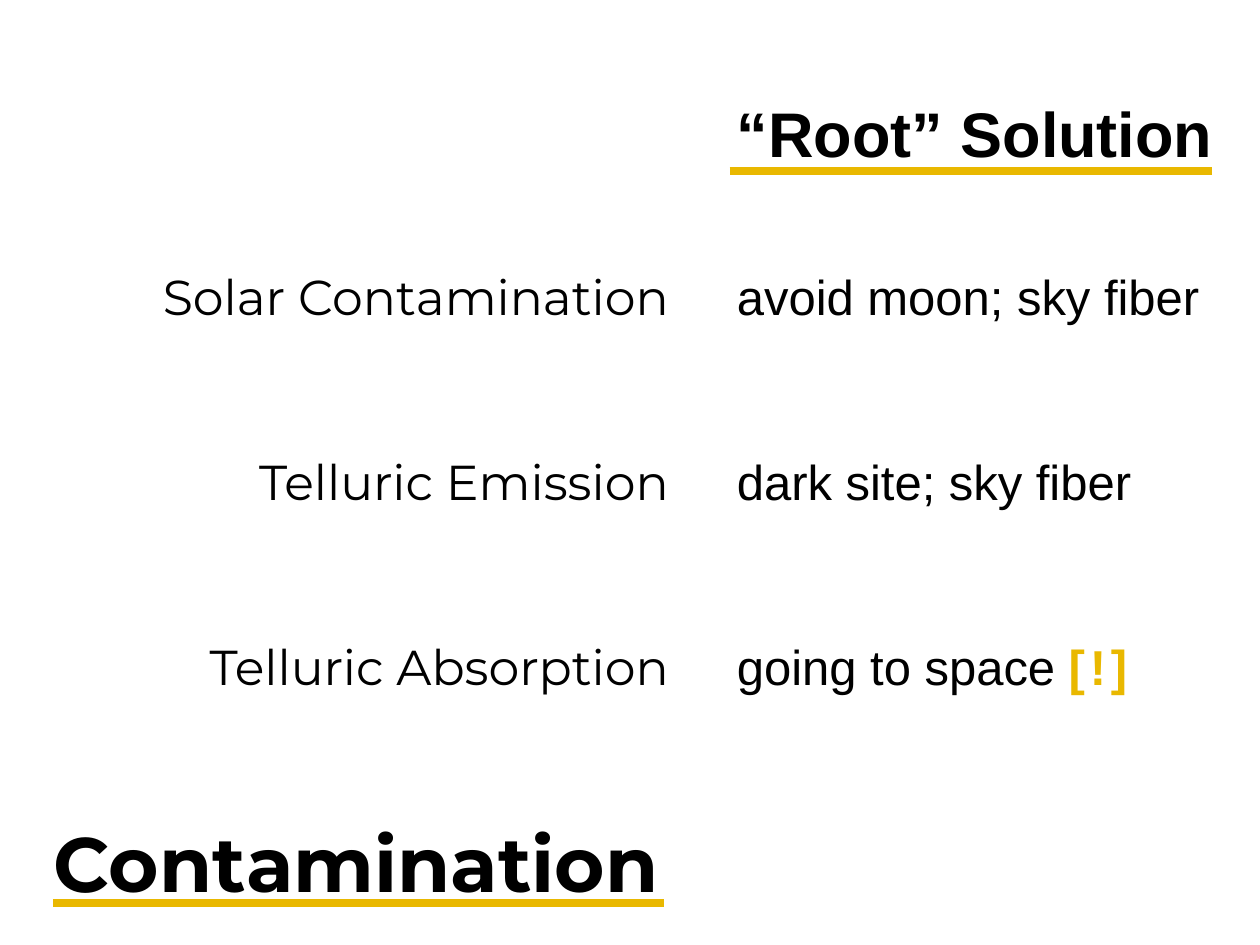
import pptx
import pptx.util
from dataclasses import dataclass
from pptx.dml.color import RGBColor
from pptx.enum.shapes import MSO_CONNECTOR
from pptx.enum.text import MSO_AUTO_SIZE, PP_ALIGN
from pptx.slide import Slide
from pptx.text.text import _Paragraph as Para


@dataclass(frozen=True)
class Theme:
    ink: RGBColor = RGBColor(0, 0, 0)
    gold: RGBColor = RGBColor(0xE9, 0xB8, 0x00)
    sans: str = "Arial"
    brand: str = "Montserrat"
    title: float = 44
    head: float = 36
    body: float = 28
    gap: float = 10
    rule: float = 4.5


@dataclass(frozen=True)
class Box:
    """Place and size in grid columns and rows."""
    col: float
    row: float
    wide: float
    high: float


@dataclass(frozen=True)
class Issue:
    name: str
    wide: float
    cure: str
    alert: str = ""


LOOK = Theme()
COLS, ROWS = 100, 75
WIDTH, HEIGHT = pptx.util.Inches(10), pptx.util.Inches(7.5)
EDGE = 54.05        # right edge of the issue names
CURE = 57.5         # left edge of the solutions
SPAN = 44.4         # width of the solutions
TOP, STEP, LINE = 20.65, 14.7, 5.7

ISSUES = (
    Issue("Solar Contamination", 45.9, "avoid moon; sky fiber"),
    Issue("Telluric Emission", 39.9, "dark site; sky fiber"),
    Issue("Telluric Absorption", 42.3, "going to space ", "[!]"),
)


def across(cols: float) -> int:
    return round(WIDTH * cols / COLS)


def down(rows: float) -> int:
    return round(HEIGHT * rows / ROWS)


def write(slide: Slide, box: Box, text: str, size: float, face: str,
          bold: bool = False, align: PP_ALIGN = PP_ALIGN.LEFT) -> Para:
    shape = slide.shapes.add_textbox(
        across(box.col), down(box.row), across(box.wide), down(box.high))
    frame = shape.text_frame
    frame.word_wrap = True
    frame.auto_size = MSO_AUTO_SIZE.SHAPE_TO_FIT_TEXT
    para = frame.paragraphs[0]
    para.alignment = align
    para.add_run().text = text
    font = para.font
    font.name, font.bold = face, bold
    font.size = pptx.util.Pt(size)
    font.color.rgb = LOOK.ink
    return para


def flag(para: Para, marks: str) -> None:
    """Add gold marks set apart by small spaces."""
    for mark in " ".join(marks):
        run = para.add_run()
        run.text = mark
        run.font.bold = True
        run.font.color.rgb = LOOK.gold
        run.font.size = pptx.util.Pt(LOOK.gap if mark == " " else LOOK.body)


def rule(slide: Slide, start: float, end: float, row: float) -> None:
    line = slide.shapes.add_connector(
        MSO_CONNECTOR.STRAIGHT, across(start), down(row), across(end), down(row))
    line.line.color.rgb = LOOK.gold
    line.line.width = pptx.util.Pt(LOOK.rule)
    line._element.spPr.add_effect = None
    pptx.oxml.ns  # namespace helper used below
    line._element.spPr.append(pptx.oxml.parse_xml(
        f"<a:effectLst {pptx.oxml.ns.nsdecls('a')}/>"))


def main() -> None:
    deck = pptx.Presentation()
    deck.slide_width, deck.slide_height = WIDTH, HEIGHT
    slide = deck.slides.add_slide(deck.slide_layouts[6])

    write(slide, Box(3.3, 64.2, 56.9, 8.4), "Contamination",
          LOOK.title, LOOK.brand, bold=True)
    rule(slide, 4.2, 52.7, 71.7)
    write(slide, Box(CURE, 7, SPAN, 7.1), "“Root” Solution",
          LOOK.head, LOOK.sans, bold=True)
    rule(slide, 57.9, 96.2, 13.6)

    for i, issue in enumerate(ISSUES):
        row = TOP + i * STEP
        write(slide, Box(EDGE - issue.wide, row, issue.wide, LINE), issue.name,
              LOOK.body, LOOK.brand, align=PP_ALIGN.RIGHT)
        para = write(slide, Box(CURE, row, SPAN, LINE), issue.cure,
                     LOOK.body, LOOK.sans)
        flag(para, issue.alert)

    deck.save("out.pptx")


if __name__ == "__main__":
    main()
